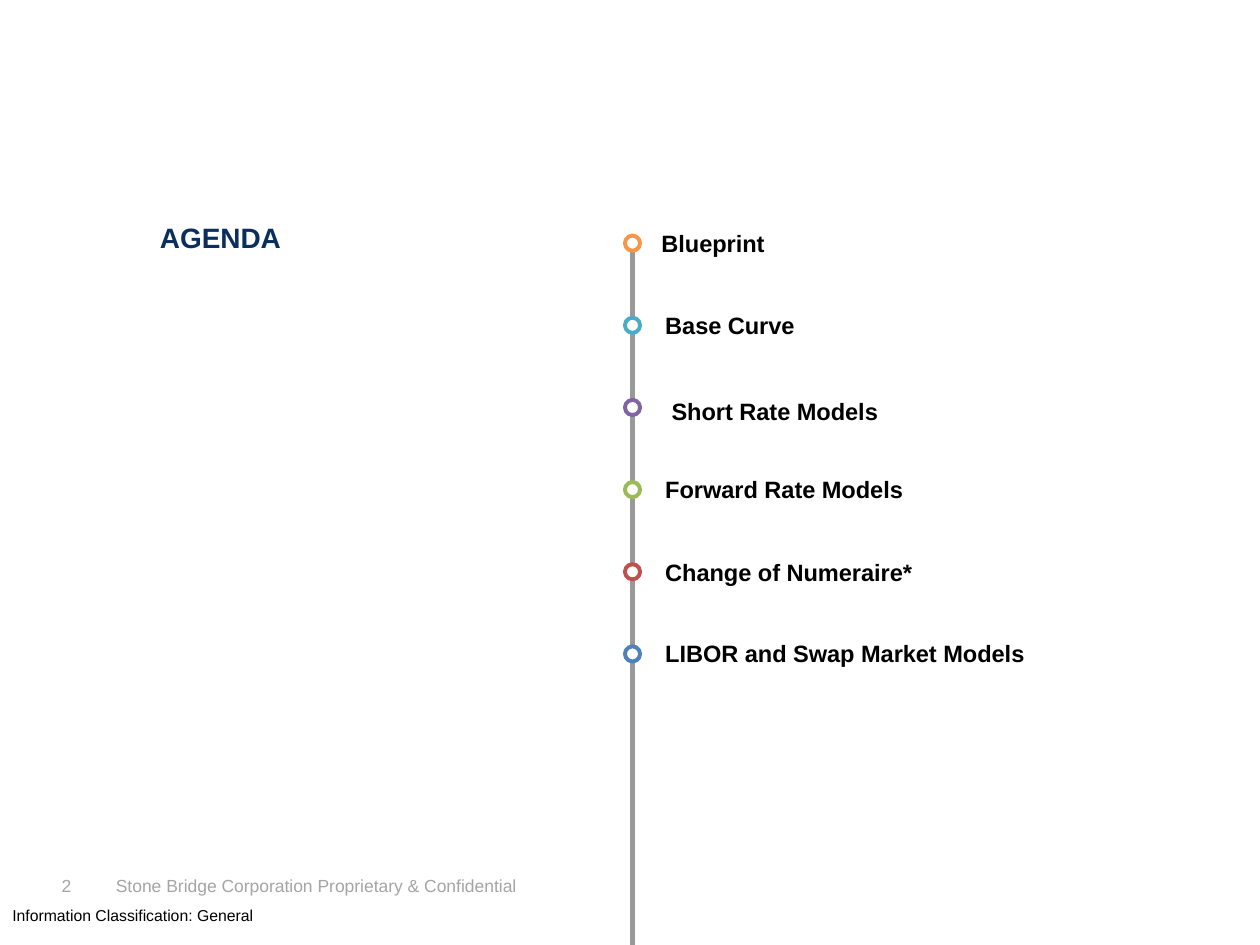
from collections import namedtuple

from pptx import Presentation
from pptx.dml.color import RGBColor
from pptx.enum import shapes, text
from pptx.oxml.ns import qn
from pptx.util import Inches, Pt
from lxml import etree

# Grid: 100 columns by 75 rows over the slide
COLS, ROWS = 100, 75
Box = namedtuple("Box", "x y w h")
Style = namedtuple("Style", "size color bold")

THEME = {
    "font": "Arial",
    "paper": "FFFFFF",
    "rail": "999999",
    "title": Style(16, "0A2F5D", True),
    "item": Style(13.5, "000000", True),
    "footer": Style(10, "A5A5A5", False),
    "class": Style(9, "000000", False),
}

# Label, ring colour, label nudge in columns and rows
TOPICS = [
    ("Blueprint", "F79646", -0.3, 0),
    ("Base Curve", "4BACC6", 0, 0),
    ("Short Rate Models", "8064A2", 0.5, 0.3),
    ("Forward Rate Models", "9BBB59", 0, 0),
    ("Change of Numeraire*", "C0504D", 0, 0.1),
    ("LIBOR and Swap Market Models", "4F81BD", 0, 0),
]


def build_agenda(prs):
    s = prs.slides.add_slide(prs.slide_layouts[5])
    col, row = prs.slide_width / COLS, prs.slide_height / ROWS

    def emu(box):
        return (round(box.x * col), round(box.y * row),
                round(box.w * col), round(box.h * row))

    def write(sp, words, style, inset=(0, 0), anchor="TOP", align="LEFT"):
        tf = sp.text_frame
        across, down = (Inches(i) for i in inset)
        frame = {
            "word_wrap": True,
            "auto_size": text.MSO_AUTO_SIZE.NONE,
            "vertical_anchor": text.MSO_ANCHOR[anchor],
            "margin_left": across, "margin_right": across,
            "margin_top": down, "margin_bottom": down,
        }
        for name, value in frame.items():
            setattr(tf, name, value)
        p = tf.paragraphs[0]
        p.alignment = text.PP_ALIGN[align]
        r = p.add_run()
        r.text = words
        font = {"name": THEME["font"], "size": Pt(style.size), "bold": style.bold}
        for name, value in font.items():
            setattr(r.font, name, value)
        r.font.color.rgb = RGBColor.from_string(style.color)

    def label(box, *args, **kwargs):
        write(s.shapes.add_textbox(*emu(box)), *args, **kwargs)

    def footer(box):
        label(Box(box.x + 9.2, box.y, 70, 2.5),
              "Stone Bridge Corporation Proprietary & Confidential",
              THEME["footer"], anchor="BOTTOM")
        label(Box(box.x, box.y + 2.8, box.w, 2.5),
              "Information Classification: General",
              THEME["class"], inset=(0.1, 0.05))
        label(Box(box.x + 4.9, box.y + 0.3, 5, 2.7), "2",
              THEME["footer"], anchor="MIDDLE")

    def title(box):
        sp = s.shapes.title
        sp.left, sp.top, sp.width, sp.height = emu(box)
        write(sp, "AGENDA", THEME["title"], align="CENTER")

    def timeline(box):
        ring, pitch = 1.2, 6.52

        # Rail down to the slide's lower edge
        x, top, _, h = emu(Box(box.x + ring / 2, box.y, 0, box.h))
        rail = s.shapes.add_connector(
            shapes.MSO_CONNECTOR.STRAIGHT, x, top, x, top + h)
        rail.line.color.rgb = RGBColor.from_string(THEME["rail"])
        rail.line.width = Pt(3)
        etree.SubElement(rail._element.spPr, qn("a:effectLst"))

        # One ring and label for each topic
        for i, (words, color, dx, dy) in enumerate(TOPICS):
            y = box.y + i * pitch
            sp = s.shapes.add_shape(
                shapes.MSO_SHAPE.OVAL, *emu(Box(box.x, y, ring, ring)))
            sp.shadow.inherit = False
            sp.fill.solid()
            sp.fill.fore_color.rgb = RGBColor.from_string(THEME["paper"])
            sp.line.color.rgb = RGBColor.from_string(color)
            sp.line.width = Pt(2.25)
            label(Box(box.x + 2.4 + dx, y - 1.3 + dy, 33.3, 3.7), words,
                  THEME["item"], inset=(0.08, 0.08), anchor="MIDDLE")

    footer(Box(0, 68.6, COLS, 6.4))
    title(Box(5, 17.5, 25, 3.3))
    timeline(Box(49.6, 18.7, 35.7, ROWS - 18.7))


def main():
    prs = Presentation()
    prs.slide_width, prs.slide_height = Inches(10), Inches(7.5)
    build_agenda(prs)
    prs.save("out.pptx")


if __name__ == "__main__":
    main()
